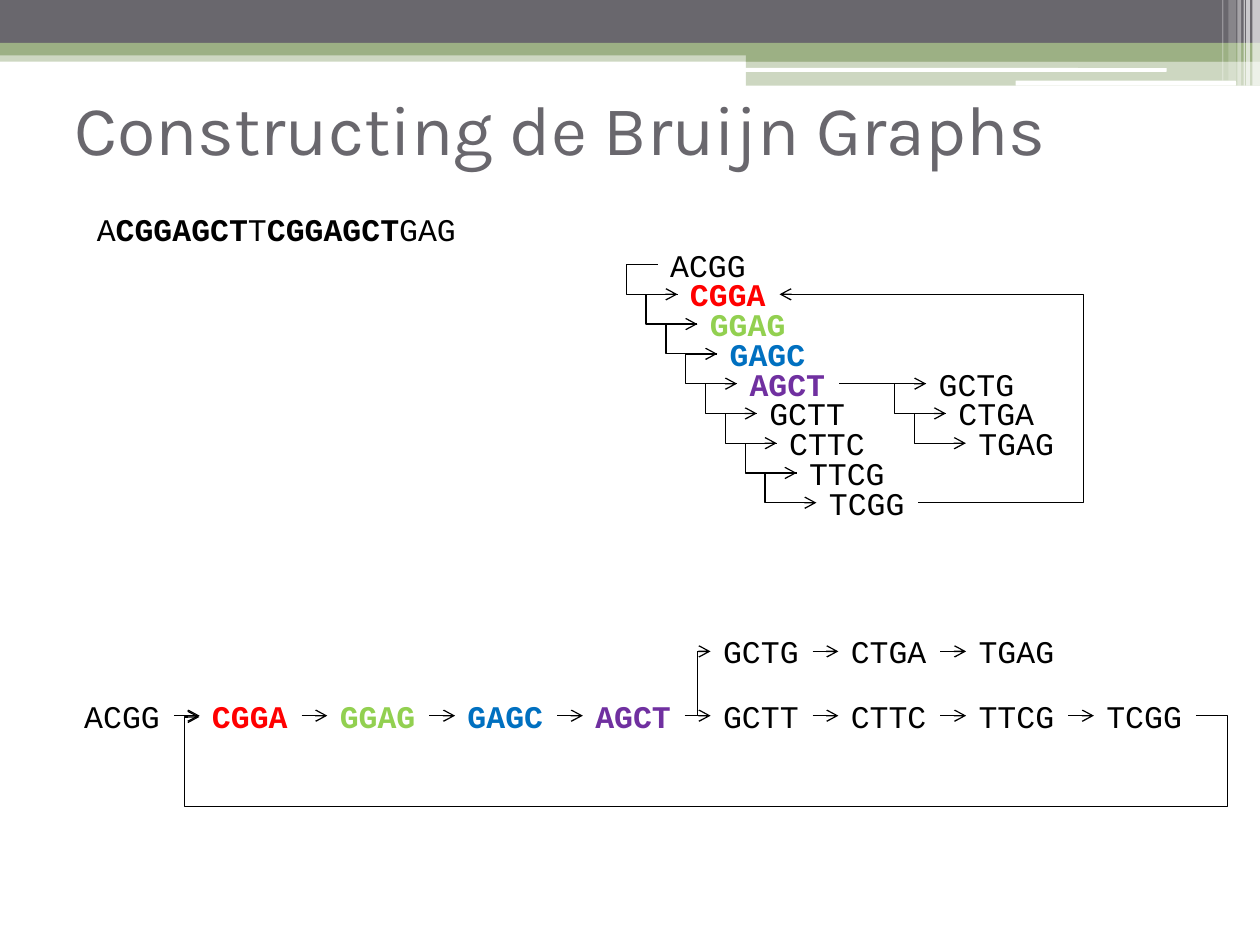
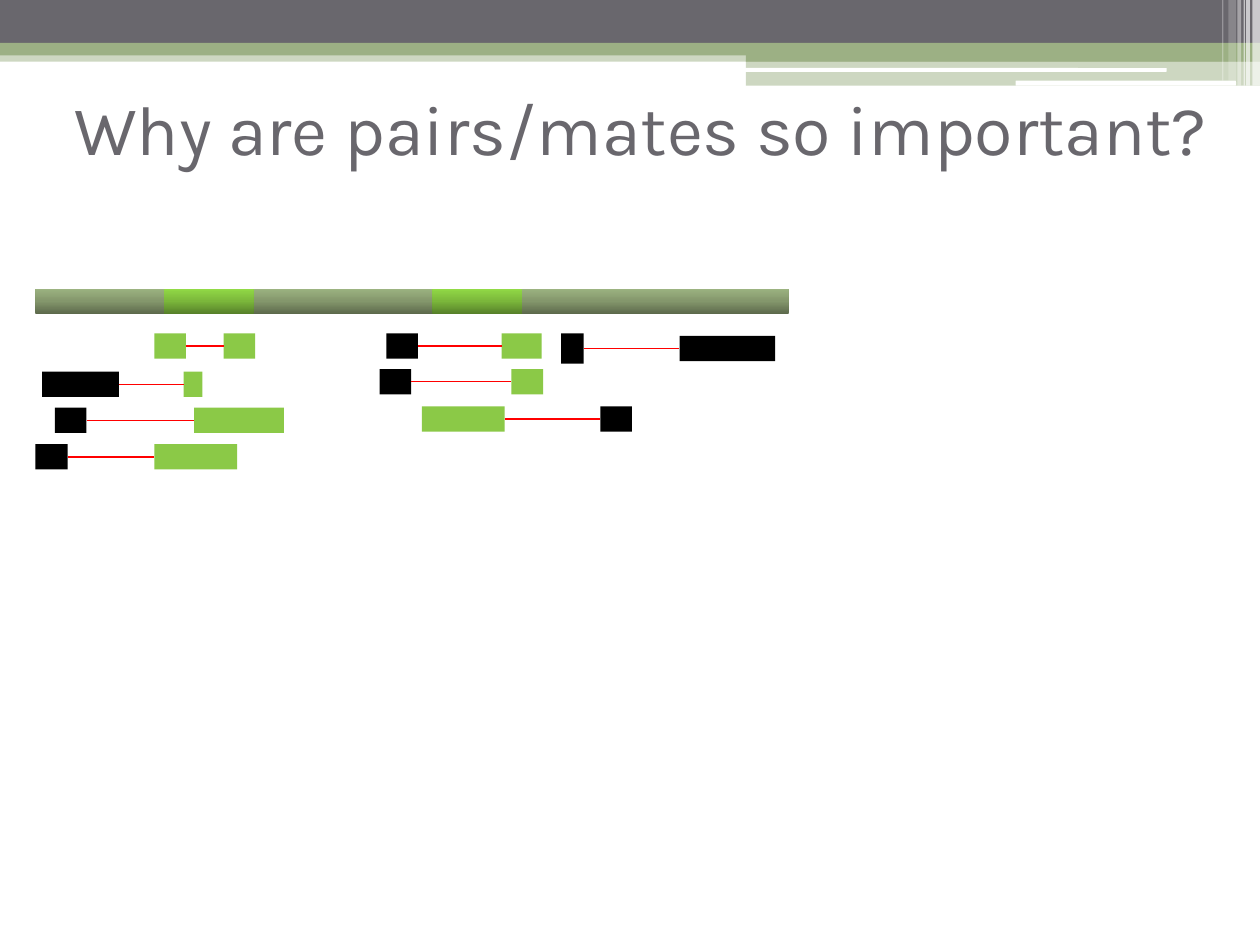
from copy import deepcopy
from itertools import pairwise

from pptx import Presentation
from pptx.dml.color import RGBColor
from pptx.enum.shapes import MSO_CONNECTOR as LINK, MSO_SHAPE as SHAPE
from pptx.enum.text import MSO_ANCHOR as ANCHOR, MSO_AUTO_SIZE as FIT, PP_ALIGN as ALIGN
from pptx.oxml.ns import qn
from pptx.oxml.xmlchemy import OxmlElement
from pptx.util import Inches, Pt

SLATE, SAGE, WHITE, BLACK, RED = "69676D", "9CB084", "FFFFFF", "000000", "FF0000"
READ_GREEN = "8BC947"
GENOME_SHADES = ("5D6A4C", "84976C", "9CB381")
REPEAT_SHADES = ("57812A", "7BB73B", "92DA46")
REPEATED = {"CGGA": RED, "GGAG": "92D050", "GAGC": "0070C0", "AGCT": "7030A0"}
NODE_W, NODE_H = 0.81, 0.4
STEP_X, STEP_Y = 0.1575, 0.2363
PITCH = 1.014
ELBOW = 0.25


def rgb(code):
    """Turn a hex string into a colour."""
    return RGBColor.from_string(code)


def block(slide, left, top, width, height, color, opacity=100, kind=SHAPE.RECTANGLE):
    """Draw a borderless filled shape, optionally see-through."""
    shape = slide.shapes.add_shape(kind, *map(Inches, (left, top, width, height)))
    shape.shadow.inherit = False
    shape.line.fill.background()
    shape.fill.solid()
    shape.fill.fore_color.rgb = rgb(color)
    if opacity < 100:
        alpha = OxmlElement("a:alpha")
        alpha.set("val", str(opacity * 1000))
        next(shape.element.spPr.iter(qn("a:srgbClr"))).append(alpha)
    return shape


def shaded_block(slide, left, top, width, height, shades):
    """Draw a block shaded from its bottom edge upwards."""
    shape = block(slide, left, top, width, height, shades[0])
    shape.fill.gradient()
    shape.fill.gradient_angle = 90
    bottom = next(shape.element.spPr.iter(qn("a:gs")))
    bottom.addnext(deepcopy(bottom))
    for stop, shade, position in zip(shape.fill.gradient_stops, shades, (0, 0.5, 1)):
        stop.color.rgb = rgb(shade)
        stop.position = position


def link(slide, start, end, bends=(), color=BLACK, arrow=True):
    """Join two points, with bends given as alternating x and y positions."""
    kind = LINK.ELBOW if bends else LINK.STRAIGHT
    line = slide.shapes.add_connector(kind, *map(Inches, (*start, *end)))
    line.line.color.rgb = rgb(color)
    line.line.width = Pt(0.75)
    properties = line.element.spPr
    if arrow:
        tail = OxmlElement("a:tailEnd")
        tail.set("type", "arrow")
        properties.find(qn("a:ln")).append(tail)
    properties.append(OxmlElement("a:effectLst"))
    if bends:
        geometry = properties.find(qn("a:prstGeom"))
        geometry.set("prst", f"bentConnector{len(bends) + 2}")
        guides = geometry.find(qn("a:avLst"))
        for i, bend in enumerate(bends):
            axis = i % 2
            share = (bend - start[axis]) / (end[axis] - start[axis])
            guide = OxmlElement("a:gd")
            guide.set("name", f"adj{i + 1}")
            guide.set("fmla", f"val {round(share * 100000)}")
            guides.append(guide)


def sequence(slide, left, top, width, parts):
    """Write bases in a monospaced line from (text, colour, bold) parts."""
    box = slide.shapes.add_textbox(*map(Inches, (left, top, width, NODE_H)))
    frame = box.text_frame
    frame.word_wrap = False
    frame.auto_size = FIT.SHAPE_TO_FIT_TEXT
    for bases, color, bold in parts:
        run = frame.paragraphs[0].add_run()
        run.text = bases
        run.font.name, run.font.size, run.font.bold = "Courier New", Pt(18), bold
        run.font.color.rgb = rgb(color)


def kmer(slide, left, top, word):
    """Write one k-mer, marked when it lies in the repeat."""
    marked = word in REPEATED
    sequence(slide, left, top, NODE_W, [(word, REPEATED.get(word, BLACK), marked)])


def cascade(slide, left, top, words):
    """Write k-mers as a staircase whose steps are joined by elbows."""
    spots = [(left + i * STEP_X, top + i * STEP_Y) for i in range(len(words))]
    for (x, y), word in zip(spots, words):
        kmer(slide, x, y, word)
    ports = [(x, y + NODE_H / 2) for x, y in spots]
    for start, end in pairwise(ports):
        link(slide, start, end, [start[0] - ELBOW])
    return ports


def chain(slide, left, top, words):
    """Write k-mers in a row joined by straight arrows."""
    ports = [(left + i * PITCH, top + NODE_H / 2) for i in range(len(words))]
    for (x, _), word in zip(ports, words):
        kmer(slide, x, top, word)
    for (x, y), end in pairwise(ports):
        link(slide, (x + NODE_W, y), end)
    return ports


def staircase_graph(slide, left, top, path, branch):
    """Draw the graph as a staircase with a side branch and a loop back."""
    ports = cascade(slide, left, top, path)
    fork = path.index("AGCT")
    side = cascade(slide, left + 13.53 * STEP_X, top + fork * STEP_Y, branch)
    link(slide, (ports[fork][0] + NODE_W, ports[fork][1]), side[0])
    (last_x, last_y), (back_x, back_y) = ports[-1], ports[1]
    link(slide, (last_x + NODE_W, last_y), (back_x + NODE_W, back_y), [left + 3.38])


def row_graph(slide, left, top, path, branch):
    """Draw the graph as a row with a raised branch and a loop underneath."""
    ports = chain(slide, left, top, path)
    fork = path.index("AGCT")
    side = chain(slide, ports[fork + 1][0], top - 0.51, branch)
    fork_x, fork_y = ports[fork]
    link(slide, (fork_x + NODE_W, fork_y), side[0], [(fork_x + NODE_W + side[0][0]) / 2])
    (last_x, last_y), (back_x, back_y) = ports[-1], ports[1]
    start = (last_x + NODE_W, last_y)
    link(slide, start, (back_x, back_y + 0.01),
         [start[0] + ELBOW, last_y + 0.73, back_x - 0.12])


def mate_map(slide, left, top, width, repeats, pairs):
    """Draw a genome with repeats above its read pairs, on a 100-column grid."""
    column, row = width / 100, 0.2
    shaded_block(slide, left, top, width, row, GENOME_SHADES)
    for start, span in repeats:
        shaded_block(slide, left + start * column, top, span * column, row, REPEAT_SHADES)
    for level, *mates in pairs:
        middle = top + level * row
        for start, span, color, *tall in mates:
            height = row * (tall[0] if tall else 1)
            block(slide, left + start * column, middle - height / 2,
                  span * column, height, color)
        (start, span, *_), (end, *_) = mates
        link(slide, (left + (start + span) * column, middle),
             (left + end * column, middle), color=RED, arrow=False)


def decorate(layout, slide):
    """Build the top bands and hand them to the layout all slides share."""
    for spare in list(layout.placeholders)[1:]:
        layout.shapes.element.remove(spare.element)
    bands = [
        (0, 0.4, 10, 0.09, SAGE, 50), (0, 0, 10, 0.34, SLATE), (0, 0.34, 10, 0.1, SAGE),
        (5.92, 0.39, 4.08, 0.1, SAGE), (5.92, 0.48, 4.08, 0.2, SAGE, 50),
        (5.91, 0.54, 3.35, 0.03, WHITE, 100, SHAPE.ROUNDED_RECTANGLE),
        (8.06, 0.64, 1.75, 0.04, WHITE, 100, SHAPE.ROUNDED_RECTANGLE),
    ]
    stripes = [(9.94, 0.06, 0.68, 65), (9.89, 0.03, 0.68, 65), (9.87, 0.01, 0.68, 60),
               (9.82, 0.03, 0.68, 40), (9.75, 0.06, 0.64, 20), (9.7, 0.01, 0.64, 30)]
    bands += [(x, 0, w, h, WHITE, opacity) for x, w, h, opacity in stripes]
    for band in bands:
        layout.shapes.element.append(block(slide, *band).element)


def titled_slide(deck, layout, title):
    """Add a slide with its title set in the shared style."""
    slide = deck.slides.add_slide(layout)
    heading = slide.shapes.title
    heading.left, heading.top, heading.width, heading.height = map(
        Inches, (0.59, 0.68, 9.25, 0.94))
    frame = heading.text_frame
    frame.margin_left = frame.margin_right = frame.margin_top = frame.margin_bottom = 0
    frame.vertical_anchor = ANCHOR.TOP
    frame.word_wrap = True
    frame.paragraphs[0].alignment = ALIGN.LEFT
    run = frame.paragraphs[0].add_run()
    run.text = title
    run.font.name, run.font.size = "Karla", Pt(40)
    run.font.color.rgb = rgb(SLATE)
    return slide


def graph_slide(deck, layout):
    """Show a sequence and its de Bruijn graph in two arrangements."""
    slide = titled_slide(deck, layout, "Constructing de Bruijn Graphs")
    path = "ACGG CGGA GGAG GAGC AGCT GCTT CTTC TTCG TCGG".split()
    branch = "GCTG CTGA TGAG".split()
    repeat = ("CGGAGCT", BLACK, True)
    sequence(slide, 0.67, 1.62, 3.07, [("A", BLACK, False), repeat, ("T", BLACK, False),
                                       repeat, ("GAG", BLACK, False)])
    staircase_graph(slide, 5.22, 1.9, path, branch)
    row_graph(slide, 0.57, 5.48, path, branch)
    return slide


def mates_slide(deck, layout):
    """Show read pairs reaching into and across two repeats."""
    slide = titled_slide(deck, layout, "Why are pairs/mates so important?")
    pairs = [
        (2.28, (15.8, 4.2, READ_GREEN), (25, 4.2, READ_GREEN)),
        (2.28, (46.6, 4.2, BLACK), (61.9, 5.3, READ_GREEN)),
        (2.38, (69.8, 3, BLACK, 1.2), (85.5, 12.7, BLACK)),
        (3.8, (0.9, 10.2, BLACK), (19.7, 2.5, READ_GREEN)),
        (3.7, (45.7, 4.2, BLACK), (63.2, 4.2, READ_GREEN)),
        (5.23, (2.6, 4.2, BLACK), (21.1, 11.9, READ_GREEN)),
        (5.18, (51.3, 11, READ_GREEN), (75, 4.2, BLACK)),
        (6.68, (0, 4.3, BLACK), (15.8, 11, READ_GREEN)),
    ]
    mate_map(slide, 0.28, 2.29, 5.98, [(17.1, 11.9), (52.7, 11.9)], pairs)


def main():
    """Build and save the deck."""
    deck = Presentation()
    deck.slide_width, deck.slide_height = Inches(10), Inches(7.5)
    layout = deck.slide_layouts.get_by_name("Title Only")
    decorate(layout, graph_slide(deck, layout))
    mates_slide(deck, layout)
    deck.save("out.pptx")


main()
